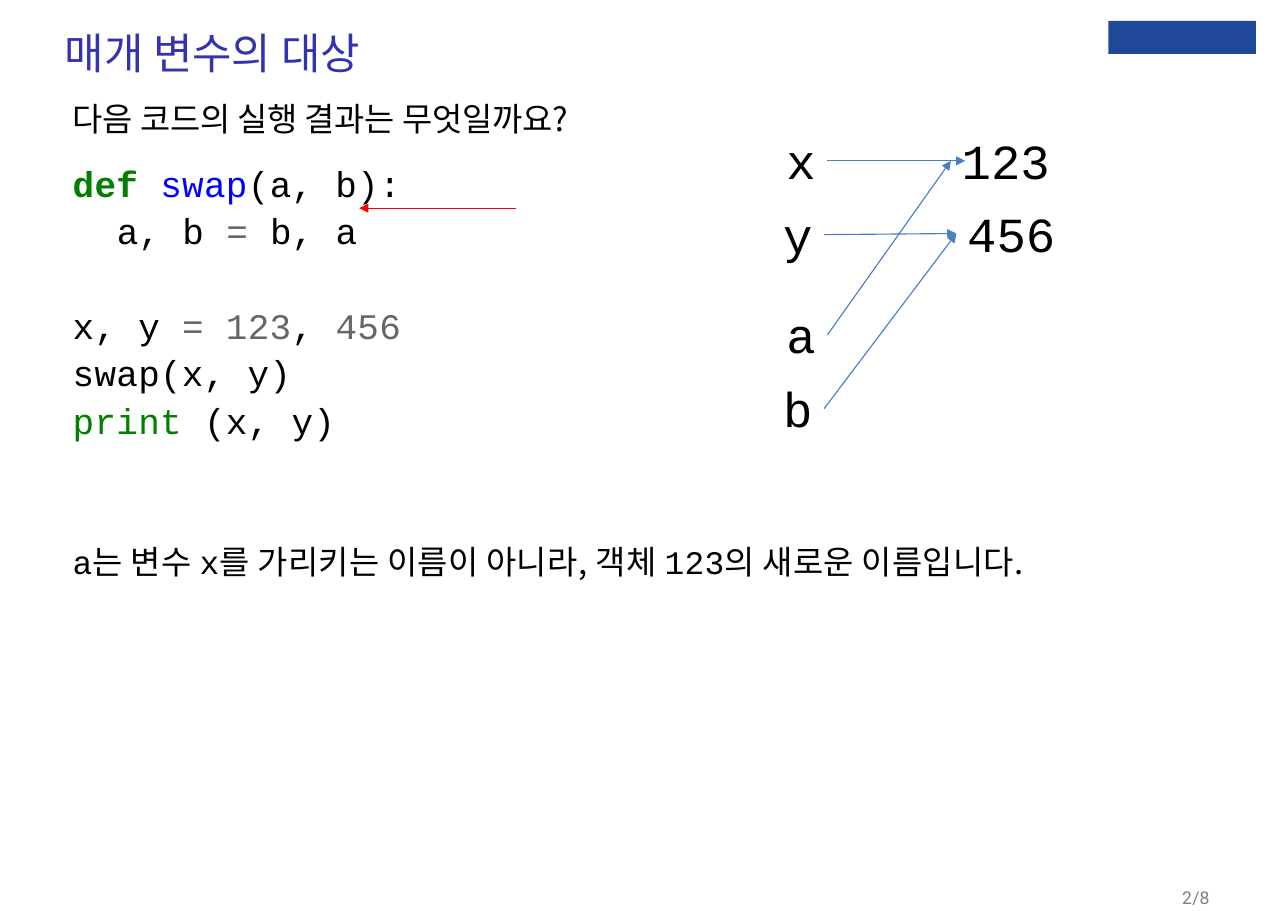
from lxml.etree import SubElement
from pptx import Presentation
from pptx.dml.color import RGBColor
from pptx.enum.shapes import MSO_CONNECTOR as Connector, MSO_SHAPE as Shape
from pptx.oxml.ns import qn
from pptx.util import Inches, Pt

WIDTH, HEIGHT = 11.69, 8.27
MONO, KOREAN, ROBOTO = "Courier New", "Noto Sans CJK KR", "Roboto"
BLACK, GRAY, GREEN, BLUE = "000000", "666666", "007F00", "0000FF"
ARROW_BLUE, ARROW_RED, LOGO_BLUE = "4B7EBC", "FF0000", "1F4899"

QUESTION = [("다음 코드의 실행 결과는 무엇일까요?", KOREAN, 21.5, BLACK, -0.1)]
CODE = [
    (15, 0, [("def ", GREEN), ("swap", BLUE), ("(a, b):", BLACK)]),
    (2.8, 0.4, [("a, b ", BLACK), ("= ", GRAY), ("b, a", BLACK)]),
    (33.5, 0, [("x, y ", BLACK), ("= 123", GRAY), (", ", BLACK), ("456", GRAY)]),
    (2.8, 0, [("swap(x, y)", BLACK)]),
    (2.8, 0, [("print ", GREEN), ("(x, y)", BLACK)]),
]
ANSWER = [
    ("a", MONO), ("는 변수 ", KOREAN), ("x", MONO),
    ("를 가리키는 이름이 아니라, 객체 ", KOREAN),
    ("123", MONO), ("의 새로운 이름입니다.", KOREAN),
]

TEXT_BOXES = [
    ((0.58, 0.24, 4, 0.47),
     [(0, 0, [("매개 변수의 대상", ROBOTO, 28, "3333B2", -0.1)])]),
    ((0.65, 0.9, 5.95, 3),
     [(0, 0, QUESTION)] + [
         (before, indent, [(text, MONO, 23.5, color, 0.2) for text, color in runs])
         for before, indent, runs in CODE]),
    ((0.65, 4.92, 9.61, 0.36),
     [(0, 0, [(text, font, 21.5, BLACK, 0.2) for text, font in ANSWER])]),
    ((10.72, 8.05, 0.49, 0.2),
     [(0.7, 0, [("2/8", ROBOTO, 11.5, "7F7F7F", 0.1)])]),
]

LABEL_HEIGHT = 0.64
LABELS = {
    "x": (7.04, 1.14, 0.47), "y": (7.01, 1.81, 0.47),
    "a": (7.04, 2.72, 0.47), "b": (7.01, 3.39, 0.47),
    "123": (8.63, 1.14, 1.01), "456": (8.68, 1.8, 1.01),
}
REFERENCES = [("y", "456"), ("a", "123"), ("b", "456")]
RIGHT_SIDE, LEFT_SIDE = 3, 1


def rgb(color):
    return RGBColor.from_string(color)


def add_text(slide, box, paragraphs, inset=0, wrap=True):
    shape = slide.shapes.add_textbox(*map(Inches, box))
    frame = shape.text_frame
    frame.word_wrap = wrap
    frame.margin_left = frame.margin_right = Inches(inset)
    frame.margin_top = frame.margin_bottom = Inches(inset / 2)
    for index, (before, indent, runs) in enumerate(paragraphs):
        paragraph = frame.add_paragraph() if index else frame.paragraphs[0]
        paragraph.space_before = Pt(before)
        properties = paragraph._p.get_or_add_pPr()
        properties.set("marL", str(Inches(indent + 0.01 if not inset else 0)))
        properties.set("indent", "0")
        for text, font, size, color, spacing in runs:
            run = paragraph.add_run()
            run.text = text
            run.font.name = font
            run.font.size = Pt(size)
            run.font.bold = text == "def "
            run.font.color.rgb = rgb(color)
            run_properties = run._r.get_or_add_rPr()
            run_properties.set("spc", str(round(spacing * 100)))
            SubElement(run_properties, qn("a:ea")).set("typeface", font)
    return shape


def add_arrow(slide, start, end, color):
    points = map(Inches, (*start, *end))
    arrow = slide.shapes.add_connector(Connector.STRAIGHT, *points)
    arrow.line.color.rgb = rgb(color)
    arrow.line.width = Pt(0.75)
    SubElement(arrow.line._get_or_add_ln(), qn("a:tailEnd")).set("type", "triangle")
    SubElement(arrow._element.spPr, qn("a:effectLst"))
    return arrow


def right_middle(name):
    left, top, width = LABELS[name]
    return left + width, top + LABEL_HEIGHT / 2


def left_middle(name):
    left, top, _ = LABELS[name]
    return left, top + LABEL_HEIGHT / 2


def main():
    presentation = Presentation()
    presentation.slide_width = Inches(WIDTH)
    presentation.slide_height = Inches(HEIGHT)
    slide = presentation.slides.add_slide(presentation.slide_layouts[6])

    for box, paragraphs in TEXT_BOXES:
        add_text(slide, box, paragraphs)

    logo = slide.shapes.add_shape(Shape.RECTANGLE, *map(Inches, (10.06, 0.19, 1.34, 0.3)))
    logo.shadow.inherit = False
    logo.fill.solid()
    logo.fill.fore_color.rgb = rgb(LOGO_BLUE)
    logo.line.fill.background()

    labels = {}
    for name, box in LABELS.items():
        paragraphs = [(0, 0, [(name, MONO, 32, BLACK, 0)])]
        labels[name] = add_text(slide, (*box, LABEL_HEIGHT), paragraphs, 0.1, False)

    x_arrow = add_arrow(slide, right_middle("x"), (8.76, 1.46), ARROW_BLUE)
    x_arrow.begin_connect(labels["x"], RIGHT_SIDE)
    for name, value in REFERENCES:
        arrow = add_arrow(slide, right_middle(name), left_middle(value), ARROW_BLUE)
        arrow.begin_connect(labels[name], RIGHT_SIDE)
        arrow.end_connect(labels[value], LEFT_SIDE)
    add_arrow(slide, (4.68, 1.89), (3.26, 1.89), ARROW_RED)

    presentation.save("out.pptx")


if __name__ == "__main__":
    main()
